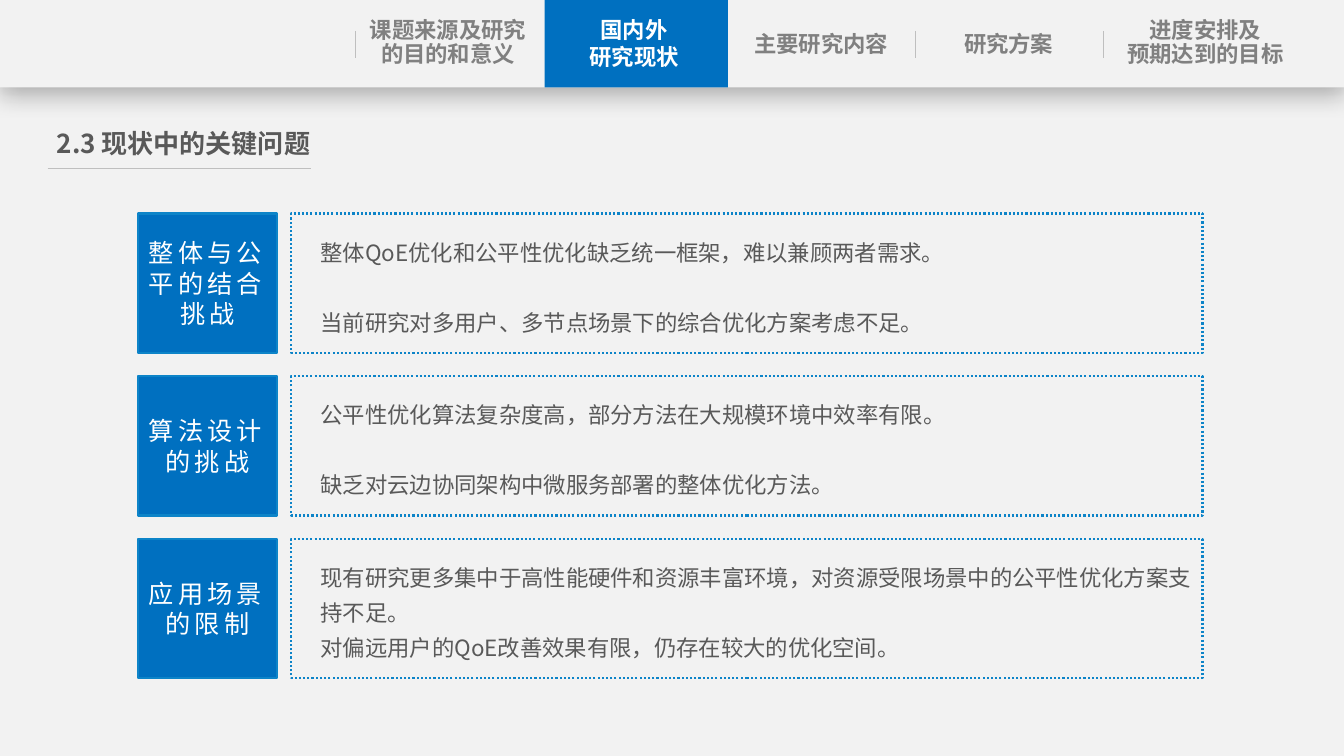
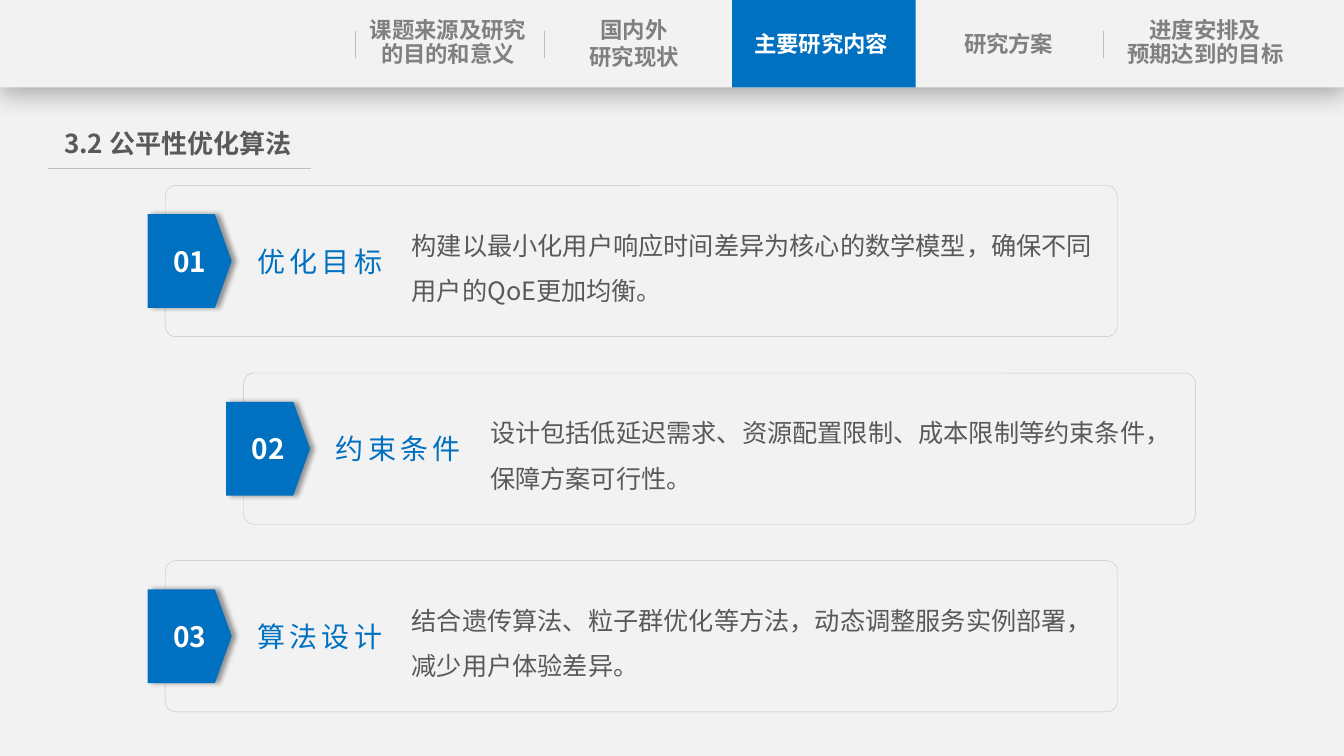
from lxml import etree
from pptx import Presentation
from pptx import util as u
from pptx.dml.color import RGBColor
from pptx.enum import dml
from pptx.enum import shapes as s
from pptx.enum import text as t
from pptx.oxml import ns

# Shared style
FONT = "Noto Sans CJK SC"
BLUE = RGBColor(0x00, 0x70, 0xC0)
EDGE_BLUE = RGBColor(0x0D, 0x84, 0xC8)
PALE = RGBColor(0xF2, 0xF2, 0xF2)
RULE_GRAY = RGBColor(0xBF, 0xBF, 0xBF)
TAB_GRAY = RGBColor(0x80, 0x80, 0x80)
TEXT_GRAY = RGBColor(0x59, 0x59, 0x59)
WHITE = RGBColor(0xFF, 0xFF, 0xFF)
CENTER, LEFT = t.PP_ALIGN.CENTER, t.PP_ALIGN.LEFT
PLATE = s.MSO_SHAPE.PENTAGON

# Navigation tabs: text, left edge, text centre, line spacing
BAND_HEIGHT = 62.5
TAB_WIDTH = 131
TABS = [
    ("课题来源及研究的目的和意义", 254, 320, 0.9),
    ("国内外\n研究现状", 389, 453, 1),
    ("主要研究内容", 523, 586.5, 1),
    ("研究方案", 654, 720.5, 1),
    ("进度安排及\n预期达到的目标", 788, 861, 0.9),
]

CHALLENGES = [
    ("整体与公平的结合挑战",
     "整体QoE优化和公平性优化缺乏统一框架，难以兼顾两者需求。\n"
     "当前研究对多用户、多节点场景下的综合优化方案考虑不足。", 25),
    ("算法设计的挑战",
     "公平性优化算法复杂度高，部分方法在大规模环境中效率有限。\n"
     "缺乏对云边协同架构中微服务部署的整体优化方法。", 25),
    ("应用场景的限制",
     "现有研究更多集中于高性能硬件和资源丰富环境，对资源受限场景中的公平性优化方案支持不足。\n"
     "对偏远用户的QoE改善效果有限，仍存在较大的优化空间。", 0),
]

STEPS = [
    ("优化目标", "构建以最小化用户响应时间差异为核心的数学模型，确保不同用户的QoE更加均衡。"),
    ("约束条件", "设计包括低延迟需求、资源配置限制、成本限制等约束条件，保障方案可行性。"),
    ("算法设计", "结合遗传算法、粒子群优化等方法，动态调整服务实例部署，减少用户体验差异。"),
]


def box(left, top, width, height):
    return [u.Pt(value) for value in (left, top, width, height)]


def write(shape, content, size, color, bold=False, align=CENTER, line_spacing=1,
          gap=0, tracking=0, insets=(7.2, 3.6, 7.2, 3.6), anchor=t.MSO_ANCHOR.MIDDLE):
    """Fill a shape with text and format its paragraphs and runs."""
    frame = shape.text_frame
    frame.text = content
    frame.word_wrap = True
    frame.auto_size = t.MSO_AUTO_SIZE.NONE
    frame.vertical_anchor = anchor
    (frame.margin_left, frame.margin_top,
     frame.margin_right, frame.margin_bottom) = box(*insets)
    for index, paragraph in enumerate(frame.paragraphs):
        paragraph.alignment = align
        paragraph.line_spacing = line_spacing
        paragraph.space_before = u.Pt(gap if index else 0)
        for run in paragraph.runs:
            run.font.name = FONT
            run.font.size = u.Pt(size)
            run.font.bold = bold
            run.font.color.rgb = color
            properties = run.font._element
            etree.SubElement(properties, ns.qn("a:ea"), typeface=FONT)
            if tracking:
                properties.set("spc", str(tracking * 100))


def add_panel(parent, place, kind=s.MSO_SHAPE.RECTANGLE, fill=None, line=None, line_width=1.5):
    shape = parent.add_shape(kind, *box(*place))
    shape.shadow.inherit = False
    if fill is None:
        shape.fill.background()
    else:
        shape.fill.solid()
        shape.fill.fore_color.rgb = fill
    if line is None:
        shape.line.fill.background()
    else:
        shape.line.color.rgb = line
        shape.line.width = u.Pt(line_width)
    return shape


def add_shadow(shape, opacity, blur, distance, degrees):
    effects = shape._element.spPr.find(ns.qn("a:effectLst"))
    shadow = etree.SubElement(
        effects, ns.qn("a:outerShdw"), blurRad=str(u.Pt(blur)), dist=str(u.Pt(distance)),
        dir=str(degrees * 60000), algn="ctr", rotWithShape="0")
    color = etree.SubElement(shadow, ns.qn("a:srgbClr"), val="000000")
    etree.SubElement(color, ns.qn("a:alpha"), val=str(opacity * 1000))


def add_rule(parent, x1, y1, x2, y2):
    rule = parent.add_connector(s.MSO_CONNECTOR.STRAIGHT, *box(x1, y1, x2, y2))
    rule.line.color.rgb = RULE_GRAY
    rule.line.width = u.Pt(0.5)
    etree.SubElement(rule._element.spPr, ns.qn("a:effectLst"))


def add_label(parent, place, content, size, color, **style):
    write(parent.add_textbox(*box(*place)), content, size, color, **style)


def add_page(presentation, active, heading, heading_center):
    """Add a slide with the navigation band and the underlined title."""
    slide = presentation.slides.add_slide(presentation.slide_layouts[5])
    shapes = slide.shapes
    band = add_panel(shapes, (0, 0, 960, BAND_HEIGHT), fill=PALE)
    add_shadow(band, 29, 18, 4, 90)
    for index, (name, left, center, spacing) in enumerate(TABS):
        if index == active:
            add_panel(shapes, (left, 0, TAB_WIDTH, BAND_HEIGHT), fill=BLUE)
        elif index != active + 1:
            add_rule(shapes, left, 22, left, 41.5)
        add_label(shapes, (center - 59, 10, 118, 42), name, 16,
                  WHITE if index == active else TAB_GRAY, bold=True,
                  line_spacing=spacing, insets=(2, 0, 2, 0))

    title = shapes.title
    title.left, title.top, title.width, title.height = box(heading_center - 127, 87, 254, 30)
    write(title, heading, 18.6, TEXT_GRAY, bold=True, insets=(0, 3.6, 0, 3.6))
    add_rule(shapes, 34, 120, 222.5, 120)
    return shapes


def add_challenge(shapes, top, name, details, gap):
    square = add_panel(shapes, (98.5, top, 99.5, 99.5), fill=BLUE, line=EDGE_BLUE)
    write(square, name, 18, WHITE, tracking=3)
    frame = add_panel(shapes, (208, top, 651, 99.5), line=EDGE_BLUE)
    frame.line.dash_style = dml.MSO_LINE.ROUND_DOT
    write(frame, details, 16, TEXT_GRAY, align=LEFT, line_spacing=1.3, gap=gap,
          insets=(21, 3.6, 7, 3.6))


def add_step(shapes, left, top, number, name, details):
    parts = shapes.add_group_shape().shapes
    card = add_panel(parts, (left, top, 680, 108), s.MSO_SHAPE.ROUNDED_RECTANGLE,
                     PALE, RULE_GRAY, 0.25)
    card.adjustments[0] = 0.07
    plate = add_panel(parts, (left - 12.5, top + 20.5, 60, 67), PLATE, BLUE)
    plate.adjustments[0] = 0.2
    add_shadow(plate, 40, 4, 3, 0)
    write(plate, f"{number:02}", 20, WHITE, bold=True, insets=(6, 0, 0, 0))
    add_label(parts, (left + 52, top + 24, 117, 60), name, 20, BLUE, tracking=3)
    add_label(parts, (left + 169, top + 17.5, 511, 73), details, 18, TEXT_GRAY,
              align=LEFT, line_spacing=1.5, anchor=t.MSO_ANCHOR.TOP)


def main():
    presentation = Presentation()
    presentation.slide_width, presentation.slide_height = u.Pt(960), u.Pt(540)
    background = presentation.slide_master.background.fill
    background.solid()
    background.fore_color.rgb = PALE

    # Key problems
    shapes = add_page(presentation, 1, "2.3 现状中的关键问题", 131)
    for index, challenge in enumerate(CHALLENGES):
        add_challenge(shapes, 152.5 + 116.25 * index, *challenge)

    # Fairness algorithm, with the middle card moved right
    shapes = add_page(presentation, 2, "3.2 公平性优化算法", 127)
    for index, step in enumerate(STEPS):
        add_step(shapes, 118 + 56 * (index % 2), 132.5 + 134 * index, index + 1, *step)

    presentation.save("out.pptx")


if __name__ == "__main__":
    main()
